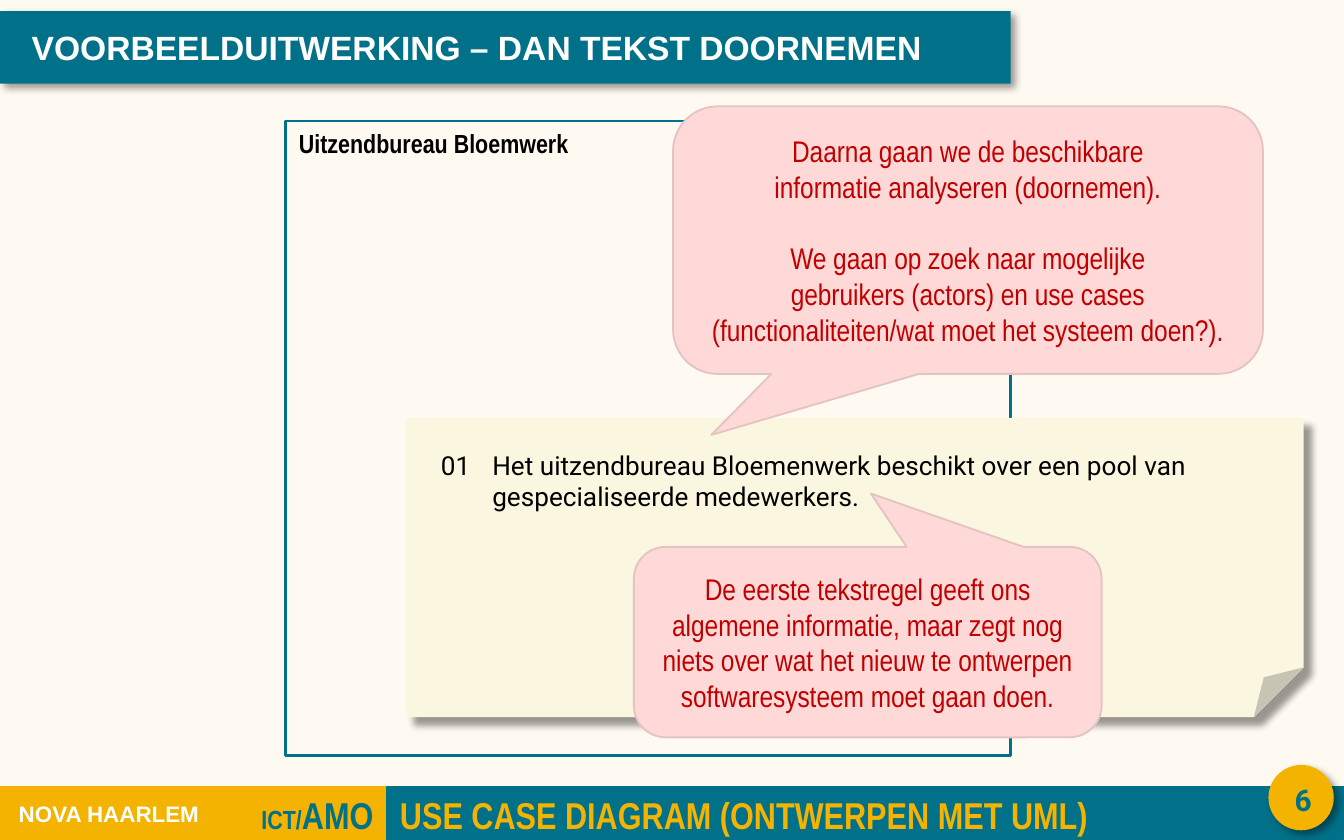
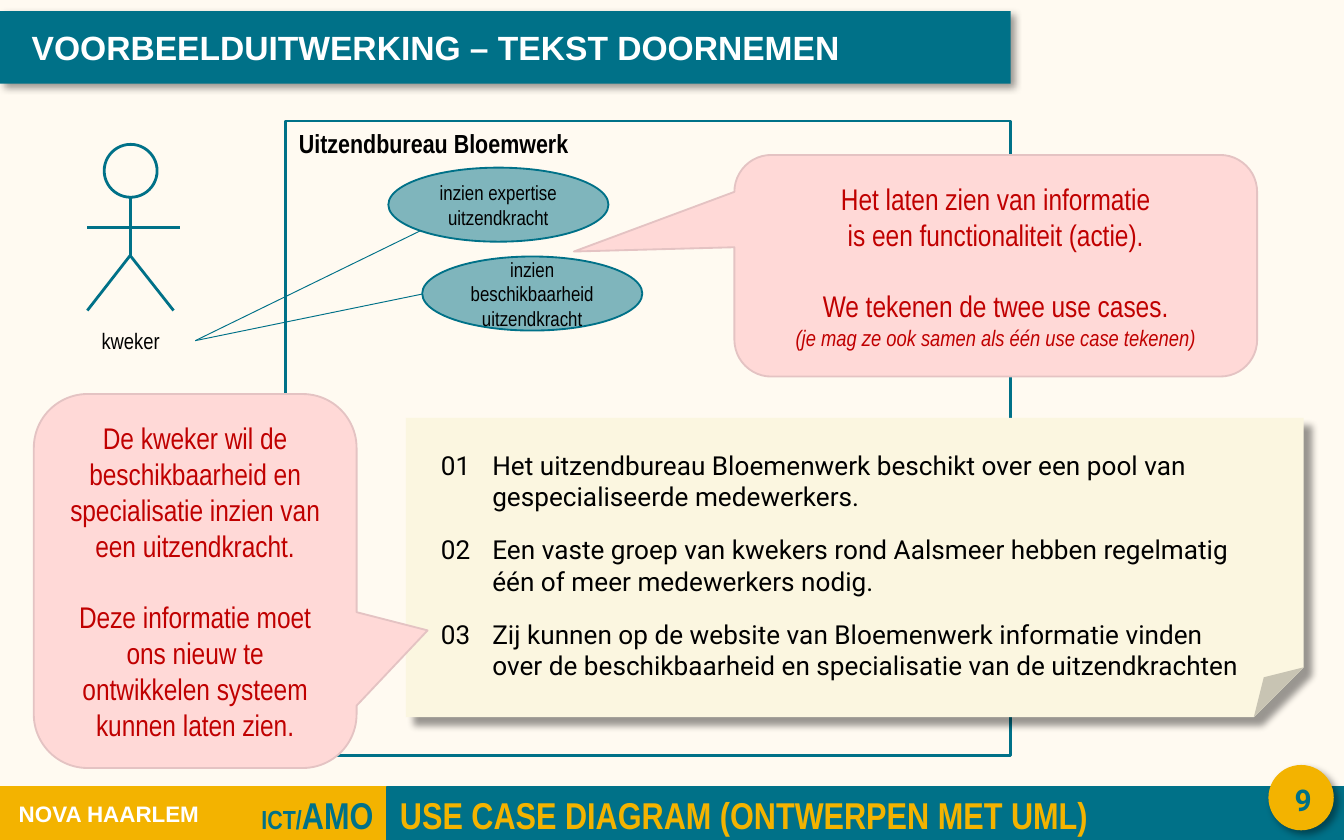
from lxml.etree import SubElement
from pptx import Presentation
from pptx.dml.color import RGBColor
from pptx.enum.shapes import MSO_CONNECTOR, MSO_SHAPE as Preset
from pptx.enum.text import MSO_ANCHOR as Anchor, MSO_AUTO_SIZE, PP_ALIGN as Align
from pptx.oxml.ns import qn
from pptx.util import Cm, Pt

COLORS = {
    "teal": "007188", "yellow": "F3B300", "cream": "FFF6E4", "white": "FFFFFF",
    "black": "000000", "note": "FBF6E0", "pink": "FFD9D7", "pink line": "E4C3C3",
    "red": "C00000",
}
NARROW = "Arial Narrow"


def paint(shape, fill=None, line=None, weight=1, opacity=None, shadow=0):
    """Set fill, outline and, at a distance in points, a soft shadow."""
    if fill:
        shape.fill.solid()
        shape.fill.fore_color.rgb = RGBColor.from_string(COLORS[fill])
        if opacity:
            color = shape.element.spPr.find(".//" + qn("a:srgbClr"))
            SubElement(color, qn("a:alpha"), val=str(opacity * 1000))
    else:
        shape.fill.background()
    if line:
        shape.line.color.rgb = RGBColor.from_string(COLORS[line])
        shape.line.width = Pt(weight)
    else:
        shape.line.fill.background()
    shape.shadow.inherit = False
    if shadow:
        effects = shape.element.spPr.find(qn("a:effectLst"))
        outer = SubElement(effects, qn("a:outerShdw"), blurRad=str(Pt(4)),
                           dist=str(Pt(shadow)), dir="2700000", algn="tl", rotWithShape="0")
        color = SubElement(outer, qn("a:srgbClr"), val=COLORS["black"])
        SubElement(color, qn("a:alpha"), val="40000")


def write(shape, lines, size, color, font=NARROW, bold=False,
          align=Align.CENTER, anchor=Anchor.MIDDLE, hanging=False):
    """Fill the shape with one paragraph per line and return the paragraphs."""
    frame = shape.text_frame
    frame.word_wrap = True
    frame.auto_size = MSO_AUTO_SIZE.NONE
    frame.vertical_anchor = anchor
    frame.text = "\n".join(lines)
    for paragraph in frame.paragraphs:
        if hanging:
            properties = paragraph._p.get_or_add_pPr()
            properties.set("marL", str(Cm(1.02)))
            properties.set("indent", str(Cm(-0.97)))
            SubElement(properties, qn("a:buNone"))
        paragraph.alignment = align
        paragraph.font.name = font
        paragraph.font.size = Pt(size)
        paragraph.font.bold = bold
        paragraph.font.color.rgb = RGBColor.from_string(COLORS[color])
    return frame.paragraphs


presentation = Presentation()
presentation.slide_width, presentation.slide_height = Cm(25.4), Cm(15.88)
layout = presentation.slide_layouts[1]

sentences = [
    "01\tHet uitzendbureau Bloemenwerk beschikt over een pool van "
    "gespecialiseerde medewerkers.",
    "02\tEen vaste groep van kwekers rond Aalsmeer hebben regelmatig "
    "één of meer medewerkers nodig.",
    "03\tZij kunnen op de website van Bloemenwerk informatie vinden "
    "over de beschikbaarheid en specialisatie van de uitzendkrachten",
]
# Each callout: box, pointer, lines, index of the line after the gap
slide_data = [
    ("6", "VOORBEELDUITWERKING – DAN TEKST DOORNEMEN", sentences[:1], [
        ((11.98, 10.34, 8.84, 3.6), (0.007, -0.78),
         ["De eerste tekstregel geeft ons algemene informatie, maar zegt nog niets over "
          "wat het nieuw te ontwerpen softwaresysteem moet gaan doen."], None),
        ((12.72, 2.01, 11.15, 5.06), (-0.435, 0.728),
         ["Daarna gaan we de beschikbare", "informatie analyseren (doornemen).",
          "We gaan op zoek naar mogelijke", "gebruikers (actors) en use cases",
          "(functionaliteiten/wat moet het systeem doen?)."], 2),
    ]),
    ("9", "VOORBEELDUITWERKING – TEKST DOORNEMEN", sentences, [
        ((0.64, 7.45, 6.1, 7.07), (0.72, 0.132),
         ["De kweker wil de beschikbaarheid en specialisatie inzien van een uitzendkracht.",
          "Deze informatie moet ons nieuw te ontwikkelen systeem kunnen laten zien."], 1),
        ((13.88, 2.93, 9.88, 4.19), (-0.807, -0.064),
         ["Het laten zien van informatie", "is een functionaliteit (actie).",
          "We tekenen de twee use cases.",
          "(je mag ze ook samen als één use case tekenen)"], 2),
    ]),
]
slides = [presentation.slides.add_slide(layout) for _ in slide_data]

# Shared background and footer, drawn once and moved to the layout
shapes = slides[0].shapes
shared = []
for kind, box, style in [
    (Preset.RECTANGLE, (0, 0, 25.4, 14.88), dict(fill="cream", opacity=50)),
    (Preset.RECTANGLE, (0, 14.88, 7.32, 1), dict(fill="yellow", line="yellow")),
    (Preset.RECTANGLE, (7.32, 14.88, 18.08, 1), dict(fill="teal", line="teal")),
    (Preset.OVAL, (23.99, 14.48, 1.2, 1.2), dict(fill="yellow", line="yellow", shadow=3)),
]:
    shape = shapes.add_shape(kind, *map(Cm, box))
    paint(shape, **style)
    shared.append(shape)

for box, text, style in [
    ((0, 14.97, 7.31, 0.86), "ICT/", dict(size=14, color="teal", align=Align.RIGHT)),
    ((7.31, 14.97, 18.08, 0.86), "USE CASE DIAGRAM (ONTWERPEN MET UML)",
     dict(size=20, color="yellow", align=Align.LEFT)),
    ((0, 14.88, 4.12, 1), "NOVA HAARLEM", dict(size=12, color="white", font="Arial")),
]:
    label = shapes.add_textbox(*map(Cm, box))
    label.text_frame.margin_top = label.text_frame.margin_bottom = 0
    paragraph = write(label, [text], bold=True, **style)[0]
    if text == "ICT/":
        course = paragraph.add_run()
        course.text = "AMO"
        course.font.size = Pt(20)
    shared.append(label)

for shape_id, shape in enumerate(shared, 20):
    shape.element.nvSpPr.cNvPr.set("id", str(shape_id))
    layout.shapes.element.append(shape.element)

for slide, (number, heading, note_lines, callouts) in zip(slides, slide_data):
    shapes = slide.shapes

    # Title band
    title = shapes.title
    title.left, title.top, title.width, title.height = map(Cm, (0, 0.21, 19.1, 1.37))
    paint(title, "teal", shadow=3)
    write(title, [heading], 18, "white", "Arial", True, Align.LEFT)
    frame = title.text_frame
    frame.margin_left, frame.margin_right = Cm(0.6), 0
    frame.margin_top = frame.margin_bottom = Cm(0.3)

    # Slide number
    badge = shapes.add_textbox(*map(Cm, (23.88, 14.66, 1.5, 0.9)))
    write(badge, [number], 16, "teal", "Roboto", True, anchor=Anchor.TOP)

    # System boundary
    system = shapes.add_shape(Preset.RECTANGLE, *map(Cm, (5.4, 2.29, 13.7, 12)))
    paint(system, line="teal", weight=1.5)
    write(system, ["Uitzendbureau Bloemwerk"], 14, "black", bold=True,
          align=Align.LEFT, anchor=Anchor.TOP)

    # Note with the numbered sentences
    note = shapes.add_shape(Preset.FOLDED_CORNER, *map(Cm, (7.67, 7.9, 16.97, 5.66)))
    paint(note, "note", shadow=6)
    body = slide.placeholders[1]
    body.left, body.top, body.width = Cm(8.03), Cm(8.37), Cm(15.85)
    body.height = Cm(1.58 * len(note_lines))
    note.element.addnext(body.element)
    for paragraph in write(body, note_lines, 14, "black", "Roboto", align=Align.LEFT,
                           anchor=Anchor.TOP, hanging=True):
        paragraph.space_before = Pt(0)
        paragraph.space_after = Pt(11.5)

    # Actor and use cases
    if number == "9":
        actor = shapes.add_group_shape()
        head = actor.shapes.add_shape(Preset.OVAL, *map(Cm, (1.97, 2.73, 1, 1)))
        paint(head, line="teal", weight=1.5)
        name = actor.shapes.add_textbox(*map(Cm, (1.25, 6.06, 2.44, 0.76)))
        write(name, ["kweker"], 12, "black", anchor=Anchor.TOP)

        limbs = [(2.46, 3.73, 2.46, 4.88), (2.46, 4.83, 3.28, 5.87),
                 (2.46, 4.83, 1.65, 5.87), (1.65, 4.3, 3.4, 4.3)]
        lines = [(actor.shapes, ends, 1.5) for ends in limbs]
        for box, line_end, text in [
            ((7.98, 4.85, 4.16, 1.4), (7.98, 5.56), "inzien beschikbaarheid"),
            ((7.34, 3.17, 4.16, 1.4), (7.95, 4.36), "inzien expertise"),
        ]:
            use_case = shapes.add_shape(Preset.OVAL, *map(Cm, box))
            paint(use_case, "teal", "teal", opacity=50)
            write(use_case, [text, "uitzendkracht"], 11, "black")
            lines.append((shapes, (3.69, 6.44, *line_end), 0.5))

        for owner, ends, weight in lines:
            connector = owner.add_connector(MSO_CONNECTOR.STRAIGHT, *map(Cm, ends))
            connector.line.color.rgb = RGBColor.from_string(COLORS["teal"])
            connector.line.width = Pt(weight)
            SubElement(connector.element.spPr, qn("a:effectLst"))
            if owner is shapes:
                connector.begin_connect(name, 3)

    # Callouts
    for box, pointer, lines, gap_index in callouts:
        callout = shapes.add_shape(Preset.ROUNDED_RECTANGULAR_CALLOUT, *map(Cm, box))
        callout.adjustments[0], callout.adjustments[1] = pointer
        paint(callout, "pink", "pink line")
        paragraphs = write(callout, lines, 16, "red")
        if gap_index:
            paragraphs[gap_index].space_before = Pt(19.2)
        if lines[-1].startswith("(je mag"):
            paragraphs[-1].font.size = Pt(12)
            paragraphs[-1].font.italic = True

presentation.save("out.pptx")
